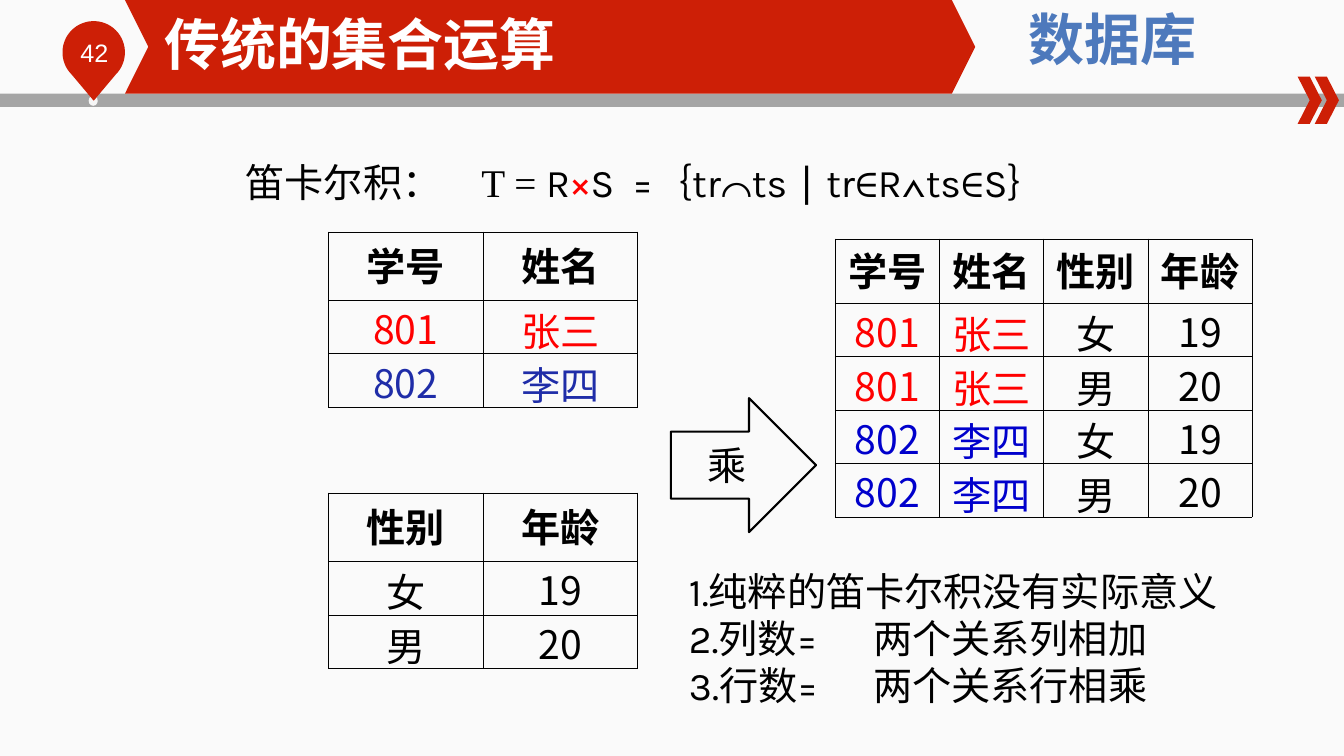
import math

import pptx
import pptx.dml.color
import pptx.enum.shapes
import pptx.enum.text
import pptx.oxml
import pptx.oxml.ns
import pptx.util

Inches = pptx.util.Inches
Pt = pptx.util.Pt
SHAPE = pptx.enum.shapes.MSO_SHAPE
ALIGN = pptx.enum.text.PP_ALIGN
ANCHOR = pptx.enum.text.MSO_ANCHOR

COLORS = {"red": "CD1F06", "gray": "A5A5A5", "dot": "F6F6F6", "white": "FFFFFF",
          "black": "000000", "course": "4D79BC", "bright": "FF0000",
          "navy": "1F2DA8", "blue": "0000CC", "top": "FAFAFA", "bottom": "FCFCFC"}
CJK = "Noto Sans CJK SC"


def rgb(name):
    return pptx.dml.color.RGBColor.from_string(COLORS[name])


def xml(tag, content="", **attributes):
    values = " ".join(f'{key}="{value}"' for key, value in attributes.items())
    return pptx.oxml.parse_xml(
        f'<a:{tag} {pptx.oxml.ns.nsdecls("a")} {values}>{content}</a:{tag}>')


def write(para, text, color="black", **formats):
    span = para.add_run()
    span.text = text
    for key, value in ({"name": "Arial", "size": Pt(28), "bold": False} | formats).items():
        setattr(span.font, key, value)
    span.font.color.rgb = rgb(color)
    latin = span.font._element.find(pptx.oxml.ns.qn("a:latin"))
    latin.addnext(xml("ea", typeface=span.font.name))


def set_tab(para, position):
    para._p.get_or_add_pPr().append(
        xml("tabLst", f'<a:tab pos="{Inches(position)}" algn="l"/>'))


def add_text_box(page, left, top, width, height):
    frame = page.shapes.add_textbox(*map(Inches, (left, top, width, height))).text_frame
    frame.word_wrap = True
    return frame


def paint(shape, color):
    shape.shadow.inherit = False
    shape.fill.solid()
    shape.fill.fore_color.rgb = rgb(color)
    shape.line.fill.background()


def add_block(page, kind, color, left, top, width, height):
    shape = page.shapes.add_shape(kind, *map(Inches, (left, top, width, height)))
    paint(shape, color)
    return shape


def add_page_marker(page, left, top, size, number):
    radius = size / 2
    center_x, center_y = left + radius, top + radius
    outline = [(center_x + radius * math.cos(math.radians(angle)),
                center_y + radius * math.sin(math.radians(angle)))
               for angle in range(135, 406, 6)] + [(center_x, top + 0.79)]
    points = [(Inches(x), Inches(y)) for x, y in outline]
    builder = page.shapes.build_freeform(*points[0])
    builder.add_line_segments(points[1:])
    paint(builder.convert_to_shape(), "red")
    frame = add_text_box(page, left + 0.08, top + 0.11, 0.76, 0.4)
    write(frame.paragraphs[0], number, "white", size=Pt(18))


def add_header(page, width):
    add_block(page, SHAPE.RECTANGLE, "gray", 0, 0.93, width, 0.13)
    add_block(page, SHAPE.OVAL, "dot", 0.88, 0.95, 0.09, 0.1)
    add_page_marker(page, 0.62, 0.21, 0.62, "42")
    for left in (12.88, 13.05):
        add_block(page, SHAPE.CHEVRON, "red", left, 0.76, 0.24, 0.47)
    banner = add_block(page, SHAPE.CHEVRON, "red", 1.24, 0, 8.44, 0.93)
    banner.adjustments[0] = 0.25
    course = add_text_box(page, 9.68, 0, 2.72, 0.77).paragraphs[0]
    course.alignment = ALIGN.CENTER
    write(course, "数据库", "course", name=CJK, size=Pt(40), bold=True)

    title = page.shapes.title
    title.left, title.top, title.width, title.height = map(Inches, (1.63, 0.09, 6.61, 0.67))
    frame = title.text_frame
    for side in ("left", "top", "right", "bottom"):
        setattr(frame, f"margin_{side}", 0)
    frame.vertical_anchor = ANCHOR.MIDDLE
    frame.auto_size = pptx.enum.text.MSO_AUTO_SIZE.NONE
    frame.paragraphs[0].alignment = ALIGN.LEFT
    write(frame.paragraphs[0], "传统的集合运算", "white", size=Pt(40), bold=True)
    title.element.getparent().append(title.element)


def add_formula(page, left, top):
    label = add_text_box(page, left, top, 2.3, 0.62).paragraphs[0]
    label.line_spacing = Pt(37)
    write(label, "笛卡尔积：")
    formula = add_text_box(page, left + 2.34, top, 6.4, 0.62).paragraphs[0]
    formula.line_spacing = Pt(37)
    set_tab(formula, 1.5)
    write(formula, "T = ", name="Times New Roman")
    write(formula, "R", name="Karla")
    write(formula, "×", "bright", name="Karla")
    write(formula, "S\t=｛tr⌒ts│tr∈R∧ts∈S｝", name="Karla")


def add_relation(page, left, top, width, header_height, rows, colors):
    row_height = 0.53
    columns = len(rows[0])
    table = page.shapes.add_table(
        len(rows), columns, Inches(left), Inches(top), Inches(width),
        Inches(header_height + row_height * (len(rows) - 1))).table
    table.first_row = table.horz_banding = False
    for column in table.columns:
        column.width = Inches(width / columns)
    for r, values in enumerate(rows):
        table.rows[r].height = Inches(row_height if r else header_height)
        top_margin, bottom_margin = (0.01, 0) if r else (0.09, 0.05)
        for c, value in enumerate(values):
            cell = table.cell(r, c)
            cell.vertical_anchor = ANCHOR.BOTTOM if r else ANCHOR.MIDDLE
            for side, margin in (("left", 0.01), ("top", top_margin),
                                 ("right", 0.01), ("bottom", bottom_margin)):
                setattr(cell, f"margin_{side}", Inches(margin))
            properties = cell._tc.get_or_add_tcPr()
            for edge in ("lnL", "lnR", "lnT", "lnB"):
                properties.append(xml(
                    edge, f'<a:solidFill><a:srgbClr val="{COLORS["black"]}"/></a:solidFill>',
                    w=Pt(0.5)))
            cell.fill.background()
            para = cell.text_frame.paragraphs[0]
            para.alignment = ALIGN.CENTER
            if r:
                para.line_spacing = 0.8
            write(para, value, colors.get((r, c), "black"), bold=r == 0,
                  name=CJK if value.isdigit() else "Arial")


def add_multiply_arrow(page, left, top, width, height):
    arrow = page.shapes.add_shape(SHAPE.RIGHT_ARROW, *map(Inches, (left, top, width, height)))
    arrow.shadow.inherit = False
    arrow.fill.background()
    arrow.line.color.rgb = rgb("black")
    arrow.line.width = Pt(1.5)
    arrow.text_frame.vertical_anchor = ANCHOR.MIDDLE
    para = arrow.text_frame.paragraphs[0]
    para.alignment = ALIGN.CENTER
    write(para, "乘")


def add_conclusions(page, left, top, width, height):
    frame = add_text_box(page, left, top, width, height)
    lines = ("1.纯粹的笛卡尔积没有实际意义", "2.列数=\t两个关系列相加", "3.行数=\t两个关系行相乘")
    for index, line in enumerate(lines):
        para = frame.add_paragraph() if index else frame.paragraphs[0]
        set_tab(para, 1.83)
        write(para, line, name="Karla")


def main():
    deck = pptx.Presentation()
    deck.slide_width, deck.slide_height = Inches(13.34), Inches(7.5)
    page = deck.slides.add_slide(deck.slide_layouts[5])
    backdrop = page.background.fill
    backdrop.gradient()
    backdrop.gradient_angle = 270
    for stop, color in zip(backdrop.gradient_stops, ("top", "bottom")):
        stop.color.rgb = rgb(color)

    students = [("801", "张三"), ("802", "李四")]
    details = [("女", "19"), ("男", "20")]
    student_head, detail_head = ("学号", "姓名"), ("性别", "年龄")
    product = [student + detail for student in students for detail in details]

    add_header(page, 13.34)
    add_formula(page, 2.34, 1.47)
    add_relation(page, 3.26, 2.3, 3.07, 0.68, [student_head] + students,
                 {(r, c): color for r, color in ((1, "bright"), (2, "navy")) for c in (0, 1)})
    add_relation(page, 3.26, 4.89, 3.07, 0.68, [detail_head] + details, {})
    add_multiply_arrow(page, 6.66, 3.95, 1.44, 1.33)
    add_relation(page, 8.29, 2.37, 4.14, 0.64, [student_head + detail_head] + product,
                 {(r, c): "bright" if r < 3 else "blue" for r in range(1, 5) for c in (0, 1)})
    add_conclusions(page, 6.74, 5.58, 5.69, 1.51)
    deck.save("out.pptx")


if __name__ == "__main__":
    main()
